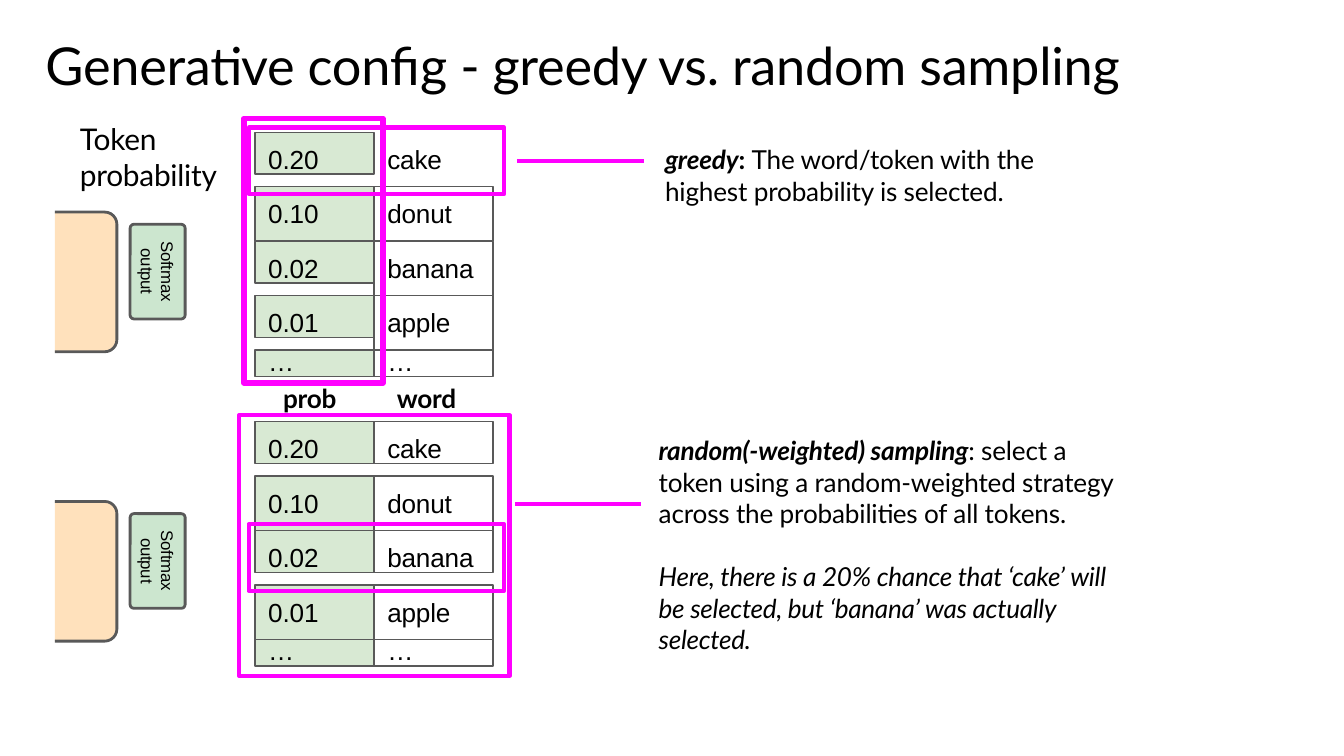
import math
from dataclasses import dataclass

from lxml import etree
from pptx import Presentation
from pptx.dml.color import RGBColor
from pptx.enum.shapes import MSO_CONNECTOR, MSO_SHAPE
from pptx.enum.text import MSO_ANCHOR, PP_ALIGN
from pptx.oxml.ns import qn
from pptx.util import Cm, Pt

RECT, ROUNDED = MSO_SHAPE.RECTANGLE, MSO_SHAPE.ROUNDED_RECTANGLE
STRAIGHT = MSO_CONNECTOR.STRAIGHT
TOP, MIDDLE = MSO_ANCHOR.TOP, MSO_ANCHOR.MIDDLE
LEFT, CENTER = PP_ALIGN.LEFT, PP_ALIGN.CENTER

COLORS = {
    "text": "000000",
    "outline": "595959",
    "model": "FFE1BC",
    "softmax": "CCE6CF",
    "prob": "D8E9D3",
    "highlight": "FF00FF",
}

PROBS = ["0.20", "0.10", "0.02", "0.01", "…"]
WORDS = ["cake", "donut", "banana", "apple", "…"]
COLUMN_X, COLUMN_W, ROW_PITCH = 4.82, 2.25, 1.03
SHORT, FULL, LAST = 0.79, 1.03, 0.5


@dataclass
class Run:
    text: str
    bold: bool = False
    italic: bool = False


@dataclass
class Example:
    top: float
    prob_heights: list[float]
    word_heights: list[float]  # 0 leaves the cell without a border


@dataclass
class Frame:
    x: float
    y: float
    w: float
    h: float
    weight: float = 2.25


@dataclass
class Note:
    x: float
    y: float
    w: float
    runs: list[Run]
    size: float = 14
    tracking: int = -10


EXAMPLES = [
    Example(2.5, [SHORT, FULL, SHORT, SHORT, LAST], [0, FULL, FULL, FULL, LAST]),
    Example(7.97, [SHORT, FULL, SHORT, FULL, LAST], [SHORT, FULL, SHORT, FULL, LAST]),
]
FRAMES = [
    Frame(4.52, 7.85, 5.11, 4.93),
    Frame(4.7, 2.41, 4.83, 1.26),
    Frame(4.7, 9.91, 4.83, 1.26),
    Frame(4.61, 2.24, 2.63, 5.0, weight=3),
]
POINTERS = [(9.78, 3.05), (9.73, 9.53)]
POINTER_LENGTH = 2.39
NOTES = [
    Note(0.86, 0.63, 23.5,
         [Run("Generative config - greedy vs. random sampling")], size=28),
    Note(1.51, 2.29, 2.8, [Run("Token probability")], size=16),
    Note(5.35, 7.22, 1.3, [Run("prob", bold=True)]),
    Note(7.5, 7.22, 1.4, [Run("word", bold=True)]),
    Note(12.57, 2.72, 8.0, [
        Run("greedy", bold=True, italic=True),
        Run(": ", bold=True),
        Run("The word/token with the highest probability is selected."),
    ]),
    Note(12.45, 8.22, 8.81, [
        Run("random(-weighted) sampling", bold=True, italic=True),
        Run(": select a token using a random-weighted strategy "
            "across the probabilities of all tokens."),
    ]),
    Note(12.45, 10.6, 8.81, [
        Run("Here, there is a 20% chance that ‘cake’ will be selected, "
            "but ‘banana’ was actually selected.", italic=True),
    ], tracking=-16),
]


def rgb(name: str) -> RGBColor:
    return RGBColor.from_string(COLORS[name])


def write(s, paragraphs: list[list[Run]], *, font="Lato", size=14.0, tracking=-10,
          align=LEFT, anchor=TOP, inset_left=0.0, inset_top=0.0, wrap=True,
          line_spacing=None, vertical=False) -> None:
    tf = s.text_frame
    tf.word_wrap = wrap
    tf.vertical_anchor = anchor
    tf.margin_left, tf.margin_top = Cm(inset_left), Cm(inset_top)
    tf.margin_right = tf.margin_bottom = 0
    if vertical:
        tf._txBody.bodyPr.set("vert", "vert")
    for i, runs in enumerate(paragraphs):
        p = tf.add_paragraph() if i else tf.paragraphs[0]
        p.alignment = align
        p.line_spacing = line_spacing
        for run in runs:
            r = p.add_run()
            r.text = run.text
            r.font.name, r.font.size = font, Pt(size)
            r.font.bold, r.font.italic = run.bold, run.italic
            r.font.color.rgb = rgb("text")
            r._r.get_or_add_rPr().set("spc", str(tracking))


def style(s, fill: str | None, line: str | None, weight: float) -> None:
    s.shadow.inherit = False
    if fill:
        s.fill.solid()
        s.fill.fore_color.rgb = rgb(fill)
    else:
        s.fill.background()
    if line:
        s.line.color.rgb = rgb(line)
        s.line.width = Pt(weight)
    else:
        s.line.fill.background()


def add_box(sp, x: float, y: float, w: float, h: float, *, kind=RECT,
            fill: str | None = None, line: str | None = "outline", weight=0.75):
    s = sp.add_shape(kind, Cm(x), Cm(y), Cm(w), Cm(h))
    style(s, fill, line, weight)
    return s


def add_model_edge(sp, y: float) -> None:
    """Draw the model block, rounded on the right and without a line on the left."""
    left, right, bottom, radius = 1.04, 2.21, y + 2.64, 0.23
    points = [(left, y)]
    for center_y, start in ((y + radius, -90), (bottom - radius, 0)):
        for step in range(7):
            a = math.radians(start + 15 * step)
            points.append((right - radius + radius * math.cos(a),
                           center_y + radius * math.sin(a)))
    points.append((left, bottom))
    corners = [(Cm(px), Cm(py)) for px, py in points]
    builder = sp.build_freeform(*corners[0])
    builder.add_line_segments(corners[1:], close=False)
    style(builder.convert_to_shape(), "model", "outline", 1.5)


def add_softmax(sp, y: float) -> None:
    s = add_box(sp, 2.46, y, 1.04, 1.79, kind=ROUNDED, fill="softmax", weight=1.5)
    s.adjustments[0] = 0.07
    write(s, [[Run("Softmax")], [Run("output")]], font="Arial", size=9,
          align=CENTER, anchor=MIDDLE, vertical=True)


def add_column(sp, x: float, top: float, labels: list[str], heights: list[float],
               fill: str | None) -> None:
    for i, (label, height) in enumerate(zip(labels, heights)):
        last = i == len(labels) - 1
        s = add_box(sp, x, top + i * ROW_PITCH, COLUMN_W, height or SHORT,
                    fill=fill, line="outline" if height else None)
        write(s, [[Run(label)]], font="Arial", inset_left=0.25,
              inset_top=0 if last else 0.21, line_spacing=Pt(14) if last else None)


def add_example(sp, example: Example) -> None:
    add_model_edge(sp, example.top + 1.51)
    add_softmax(sp, example.top + 1.74)
    add_column(sp, COLUMN_X + COLUMN_W, example.top, WORDS, example.word_heights, None)
    add_column(sp, COLUMN_X, example.top, PROBS, example.prob_heights, "prob")


def add_pointer(sp, x: float, y: float) -> None:
    s = sp.add_connector(STRAIGHT, Cm(x), Cm(y), Cm(x + POINTER_LENGTH), Cm(y))
    s.line.color.rgb = rgb("highlight")
    s.line.width = Pt(2.25)
    etree.SubElement(s._element.spPr, qn("a:effectLst"))


def add_note(sp, note: Note) -> None:
    s = sp.add_textbox(Cm(note.x), Cm(note.y), Cm(note.w), Cm(note.size * 0.043))
    write(s, [note.runs], size=note.size, tracking=note.tracking)


def main() -> None:
    prs = Presentation()
    prs.slide_width, prs.slide_height = Cm(25.4), Cm(14.29)
    sp = prs.slides.add_slide(prs.slide_layouts[6]).shapes
    for example in EXAMPLES:
        add_example(sp, example)
    for frame in FRAMES:
        add_box(sp, frame.x, frame.y, frame.w, frame.h,
                line="highlight", weight=frame.weight)
    for x, y in POINTERS:
        add_pointer(sp, x, y)
    for note in NOTES:
        add_note(sp, note)
    prs.save("out.pptx")


if __name__ == "__main__":
    main()
